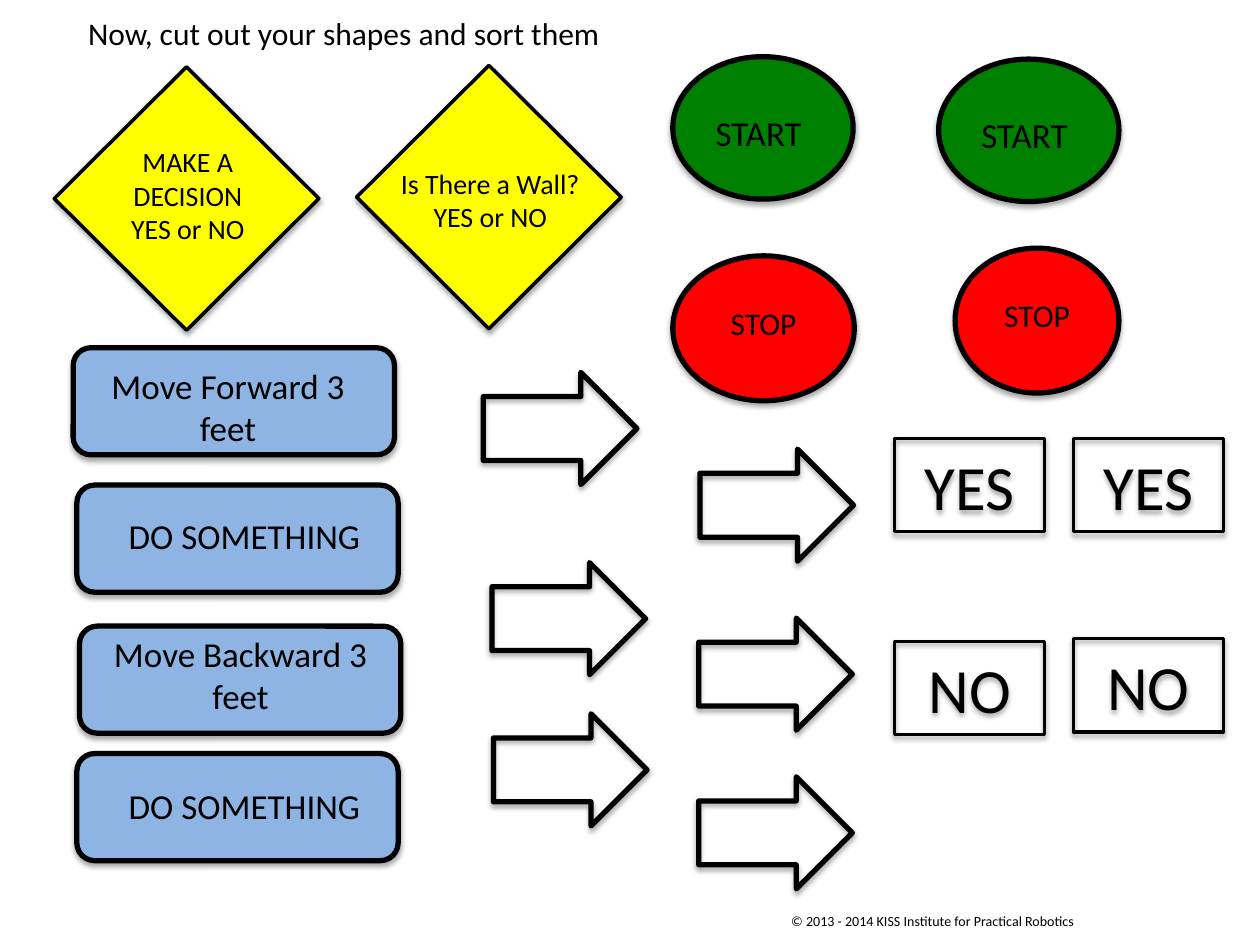
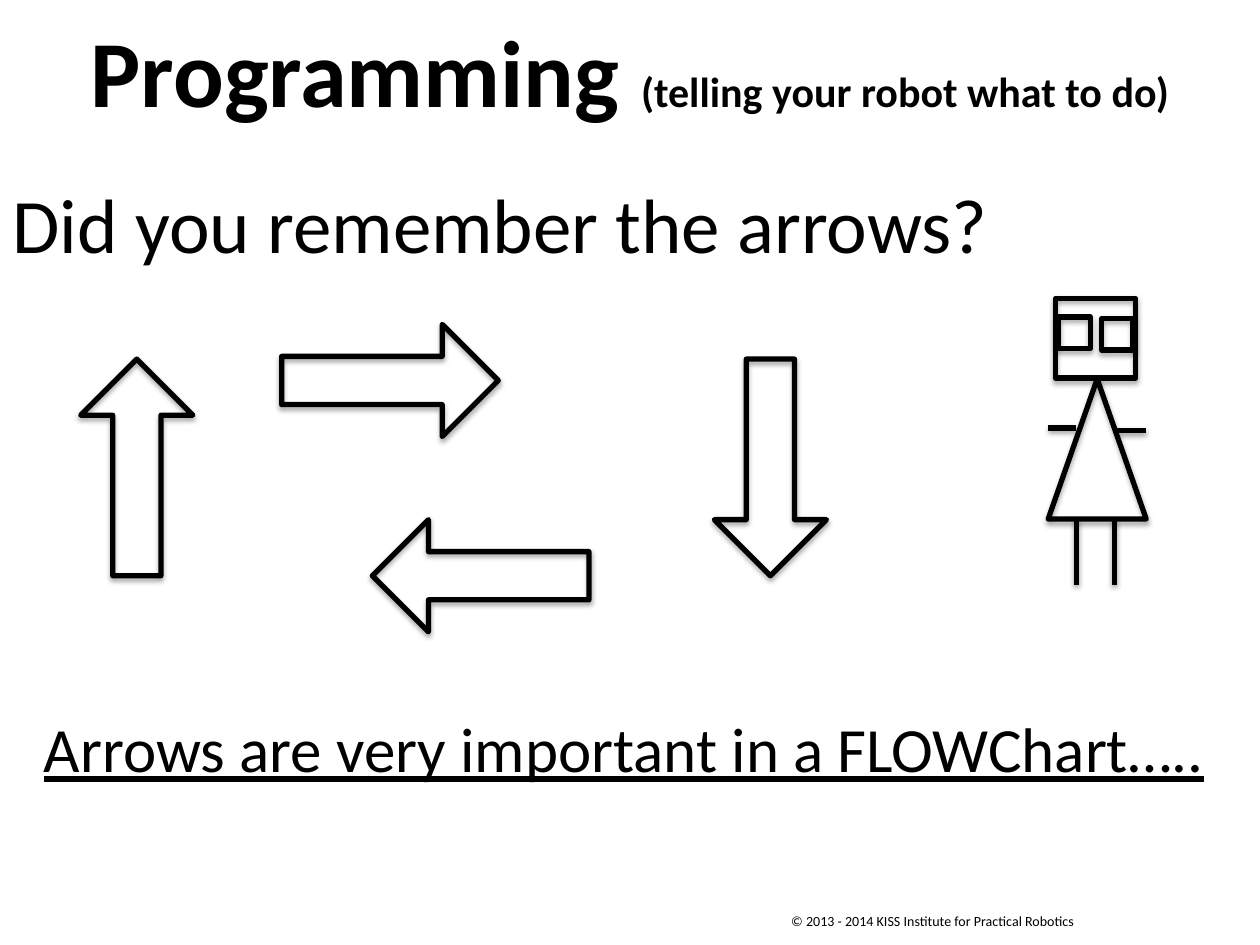
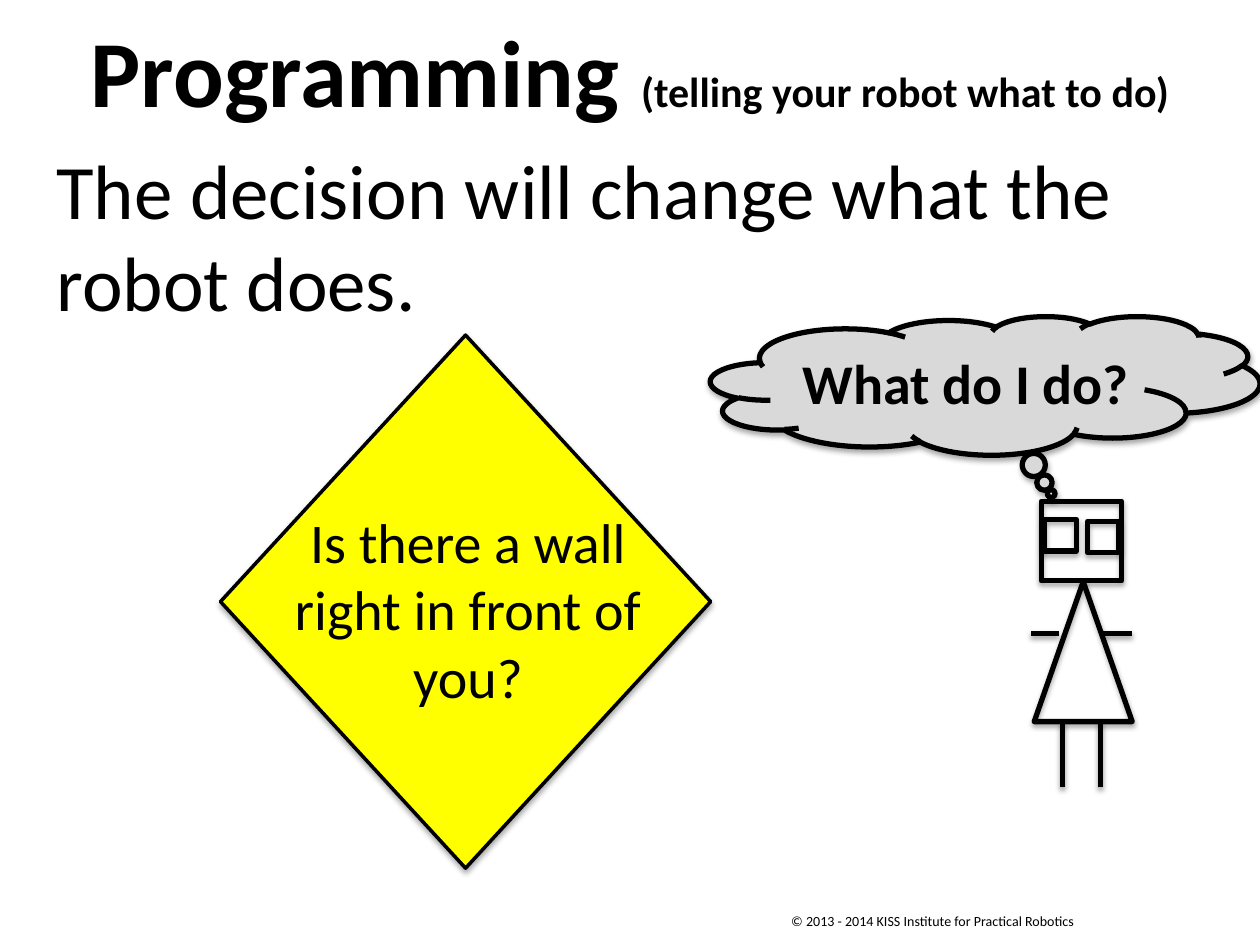
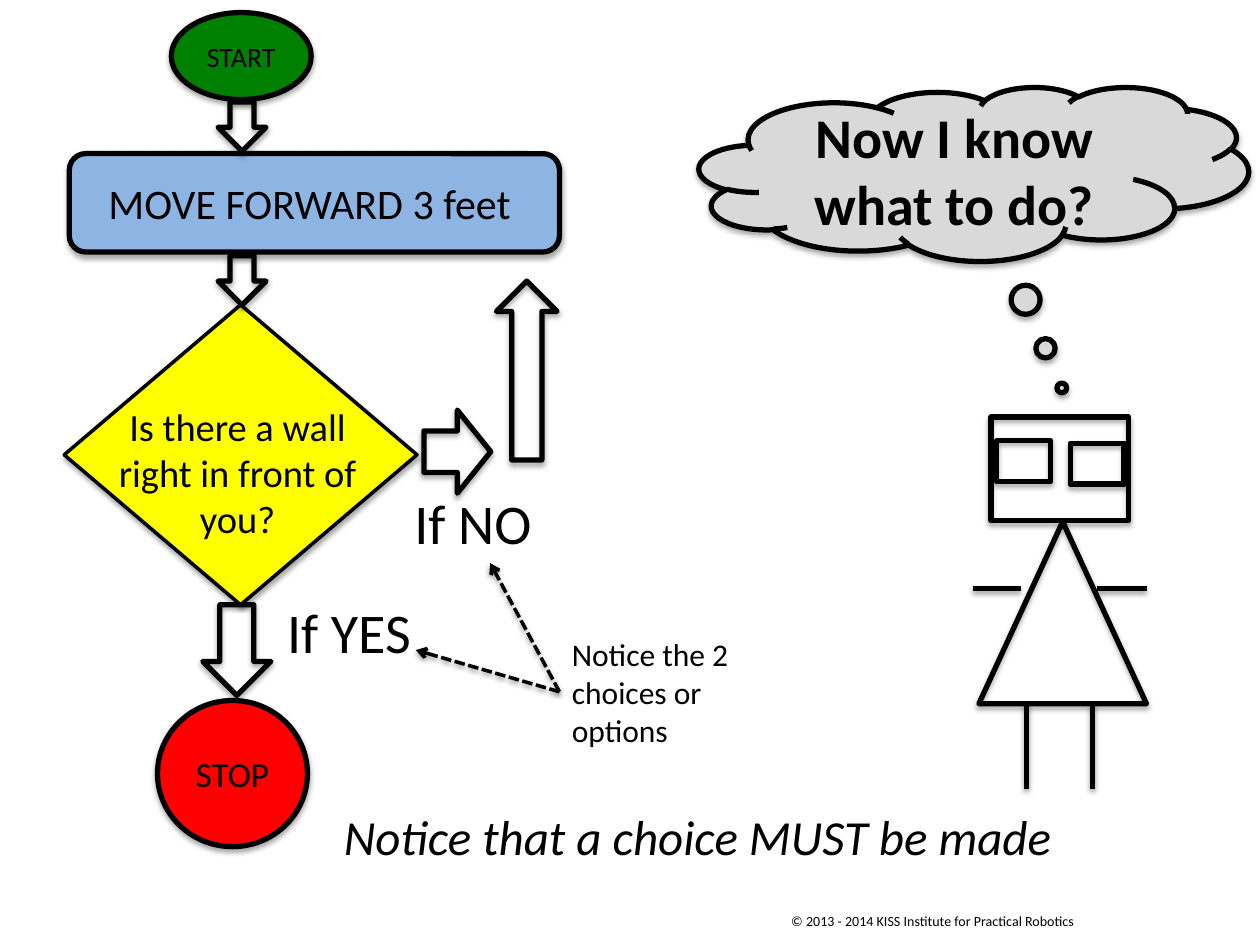
import pptx
import pptx.dml.color
import pptx.enum.dml
import pptx.enum.shapes
import pptx.enum.text
import pptx.oxml
import pptx.util

Pt = pptx.util.Pt
SHAPE = pptx.enum.shapes.MSO_SHAPE
ALIGN = pptx.enum.text.PP_ALIGN
FIT = pptx.enum.text.MSO_AUTO_SIZE
NS = 'xmlns:a="http://schemas.openxmlformats.org/drawingml/2006/main"'
FONT = "Calibri"
COLORS = {
    "black": "000000",
    "start": "008000",
    "stop": "FF0000",
    "decision": "FFFF00",
    "action": "8EB4E3",
    "thought": "D9D9D9",
    "outline": "054697",
}
TITLE_ONLY, BLANK = 5, 6


def rgb(name):
    return pptx.dml.color.RGBColor.from_string(COLORS[name])


def write(p, text, size=18, bold=None, italic=None, underline=None, outline=False):
    r = p.add_run()
    r.text = text
    f = r.font
    f.name, f.size = FONT, Pt(size)
    f.bold, f.italic, f.underline = bold, italic, underline
    f.color.rgb = rgb("black")
    if outline:
        r._r.get_or_add_rPr().insert(0, pptx.oxml.parse_xml(
            f'<a:ln {NS} w="12700"><a:solidFill><a:srgbClr val="{COLORS["outline"]}"/>'
            '</a:solidFill></a:ln>'))


def add_shadow(sp, alpha, distance):
    """Append a soft shadow straight below; the line must be set already."""
    sp.element.spPr.append(pptx.oxml.parse_xml(
        f'<a:effectLst {NS}><a:outerShdw blurRad="{Pt(3.1)}" dist="{Pt(distance)}" '
        f'dir="5400000" rotWithShape="0"><a:srgbClr val="{COLORS["black"]}">'
        f'<a:alpha val="{alpha * 1000}"/></a:srgbClr></a:outerShdw></a:effectLst>'))


class Deck:
    def __init__(self):
        self.prs = pptx.Presentation()
        self.prs.slide_width, self.prs.slide_height = Pt(720), Pt(540)
        self.s = None

    def slide(self, layout=TITLE_ONLY):
        self.s = self.prs.slides.add_slide(self.prs.slide_layouts[layout])

    def title(self, box, runs, align=ALIGN.CENTER):
        """Place the title; runs holds (text, format) pairs."""
        sp = self.s.shapes.title
        sp.left, sp.top, sp.width, sp.height = map(Pt, box)
        tf = sp.text_frame
        tf.word_wrap, tf.auto_size = False, FIT.SHAPE_TO_FIT_TEXT
        tf.vertical_anchor = pptx.enum.text.MSO_ANCHOR.TOP
        p = tf.paragraphs[0]
        p.alignment = align
        for text, fmt in runs:
            write(p, text, **fmt)

    def programming_title(self):
        self.title((39.6, 3.6, 640.8, 72.7), [
            ("Programming ", dict(size=54, bold=True, outline=True)),
            ("(telling your robot what to do)", dict(size=24, bold=True, outline=True))])

    def text(self, box, *lines, align=ALIGN.LEFT, wrap=True, **fmt):
        sp = self.s.shapes.add_textbox(*map(Pt, box))
        tf = sp.text_frame
        tf.word_wrap, tf.auto_size = wrap, FIT.SHAPE_TO_FIT_TEXT
        for i, line in enumerate(lines):
            p = tf.add_paragraph() if i else tf.paragraphs[0]
            p.alignment = align
            write(p, line, **fmt)
        return sp

    def shape(self, kind, box, fill=None, weight=3, text=None, adj=(), rotation=0, **fmt):
        sp = self.s.shapes.add_shape(kind, *map(Pt, box))
        sp.rotation = rotation
        for i, value in enumerate(adj):
            sp.adjustments[i] = value
        if fill:
            sp.fill.solid()
            sp.fill.fore_color.rgb = rgb(fill)
        else:
            sp.fill.background()
        sp.line.color.rgb = rgb("black")
        sp.line.width = Pt(weight)
        add_shadow(sp, 35, 1.8)
        if text:
            p = sp.text_frame.paragraphs[0]
            p.alignment = ALIGN.CENTER
            write(p, text, **fmt)

    def oval(self, box, fill, **kw):
        self.shape(SHAPE.OVAL, box, fill, **kw)

    def action(self, box, **kw):
        self.shape(SHAPE.ROUNDED_RECTANGLE, box, "action", **kw)

    def decision(self, box, text_box, *lines, size):
        self.shape(SHAPE.DIAMOND, box, "decision", weight=2)
        self.text(text_box, *lines, align=ALIGN.CENTER, size=size)

    def arrow(self, box, rotation=0, shaft=0.5):
        self.shape(SHAPE.DOWN_ARROW, box, rotation=rotation, adj=(shaft, 0.5))

    def thought(self, box, text, adj):
        self.shape(SHAPE.CLOUD_CALLOUT, box, "thought", adj=adj, text=text, size=32, bold=True)

    def line(self, x1, y1, x2, y2, weight=3, pointer=False):
        cn = self.s.shapes.add_connector(
            pptx.enum.shapes.MSO_CONNECTOR.STRAIGHT, *map(Pt, (x1, y1, x2, y2)))
        cn.line.color.rgb = rgb("black")
        cn.line.width = Pt(weight)
        if pointer:
            cn.line.dash_style = pptx.enum.dml.MSO_LINE.SQUARE_DOT
            cn.get_or_add_ln().append(pptx.oxml.parse_xml(f'<a:tailEnd {NS} type="arrow"/>'))
        add_shadow(cn, 38, 1.6)

    def robot(self, x, y, sx=1, sy=1, left_arm=(-2, 75.5)):
        """Draw the robot with its skirt's left edge at x and head top at y."""
        self.shape(SHAPE.ISOSCELES_TRIANGLE, (x, y + 46 * sy, 56 * sx, 80 * sy))
        arm_x, arm_y = left_arm
        for x1, y1, x2, y2 in ((arm_x + 16, arm_y, arm_x, arm_y), (56, 75.5, 39.5, 75.5),
                               (38, 163.5, 38, 126), (16, 163.5, 16, 126)):
            self.line(x + x1 * sx, y + y1 * sy, x + x2 * sx, y + y2 * sy)
        head, eyes = (4, 0, 46, 45.5), [(6, 10.5, 18, 18), (30.5, 11.5, 18, 18)]
        for left, top, w, h in [head, *eyes]:
            self.shape(SHAPE.RECTANGLE, (x + left * sx, y + top * sy, w * sx, h * sy))

    def master_footer(self, text):
        """Put the copyright line on the master, so every slide shows it."""
        sp = self.text((445, 517.7, 179.3, 17.3), text, wrap=False, size=8)
        self.prs.slide_master.shapes.element.append(sp.element)


def sorting_slide(d):
    d.slide()
    d.master_footer("© 2013 - 2014 KISS Institute for Practical Robotics")
    d.title((43.2, 4.3, 311.8, 28.8),
            [("Now, cut out your shapes and sort them", dict(size=18))], ALIGN.LEFT)

    for x, y in ((536.4, 33.8), (384.5, 32.4)):
        d.oval((x, y, 103, 81.4), "start")
        d.text((x + 17.3, y + 27.7, 76.3, 17.3), "START", size=20)
    for x, y, w, indent in ((384.5, 146.2, 103.7, 25.9), (545.8, 141.8, 93.6, 20.9)):
        d.oval((x, y, w, 82.8), "stop")
        d.text((x + indent, y + 23.8, 73, 16.6), "STOP", size=18)

    d.decision((31, 38.2, 151.2, 150.5), (45.4, 79.2, 123.8, 85),
               "MAKE A DECISION", "YES or NO", size=16)
    d.decision((203.8, 37.4, 151.2, 150.5), (218.2, 91.4, 123.8, 46),
               "Is There a Wall?", "YES or NO", size=16)

    for x, y, text_x, text_y, text_h, label in (
            (41.8, 198.7, 43.9, 204.5, 55.4, "Move Forward 3 feet"),
            (43.9, 277.2, 53.3, 290.2, 31.7, "DO SOMETHING"),
            (45.4, 357.8, 51.1, 357.8, 55.4, "Move Backward 3 feet"),
            (43.9, 430.6, 53.3, 445, 31.7, "DO SOMETHING")):
        d.action((x, y, 183.6, 61.2))
        d.text((text_x, text_y, 172.8, text_h), label, align=ALIGN.CENTER, size=20)

    for x, y in ((288, 200.9), (293, 309.6), (293.8, 396),
                 (411.1, 341.3), (411.1, 432), (411.8, 244.8)):
        d.arrow((x, y, 64.1, 87.8), rotation=270, shaft=0.57)

    for x, y, label in ((613.4, 250.6, "YES"), (511.2, 250.6, "YES"),
                        (613.4, 365, "NO"), (511.2, 366.5, "NO")):
        d.shape(SHAPE.RECTANGLE, (x, y, 85.7, 53.3), weight=2, text=label, size=36)


def arrows_slide(d):
    d.slide()
    d.programming_title()
    d.text((0, 97.2, 720, 60.5), "Did you remember the arrows?", size=44)
    d.robot(599, 170.6, left_arm=(0, 74))
    for x, y, rotation in ((46.1, 205.2, 180), (190.8, 155.5, 270),
                           (408.2, 205.2, 0), (242.6, 267.1, 90)):
        d.arrow((x, y, 64.1, 123.8), rotation, shaft=0.43)
    d.text((18, 401.8, 764.6, 51.1), "Arrows are very important in a FLOWChart…..",
           size=36, underline=True)


def decision_slide(d):
    d.slide()
    d.programming_title()
    d.decision((126, 191.5, 280.1, 304.6), (152.6, 286.6, 229.7, 236.9),
               "Is there a wall right in front of you?", size=32)
    d.text((25.2, 77.8, 640.8, 113.8), "The decision will change what the robot does.", size=44)
    d.robot(591, 286.4)
    d.thought((406.1, 180.7, 313.9, 79.2), "What do I do?", (0.12, 0.78))


def flowchart_slide(d):
    d.slide(BLANK)
    d.arrow((115.9, 345.6, 38.9, 51.8))
    d.arrow((237.6, 239, 47.5, 38.2), rotation=270)
    d.text((157, 337.7, 101.5, 46), "If YES", size=32)
    d.text((229.7, 275.8, 101.5, 46), "If NO", size=32)
    d.action((39.6, 87.8, 280.1, 56.2), text="MOVE FORWARD 3 feet ", size=24)
    d.oval((90, 400.3, 85.7, 83.5), "stop", text="STOP", size=20)
    d.arrow((283.7, 160.6, 34.6, 102.2), rotation=180)
    d.decision((36.7, 174.2, 201.6, 171.4), (53.3, 226.8, 164.9, 91.4),
               "Is there a wall right in front of you?", size=22)
    for y in (146.2, 58.3):
        d.arrow((124.6, y, 27.4, 28.1))
    d.oval((97.9, 7.2, 79.9, 49.7), "start", text="START", size=16)
    d.text((189.4, 457.2, 550.8, 41), "Notice that a choice MUST be made", size=28, italic=True)
    d.text((319.7, 359.3, 114.5, 72.7), "Notice the 2 choices or options", size=18)
    for x, y in ((280.1, 321.8), (237.6, 371.5)):
        d.line(319.7, 395.3, x, y, weight=2, pointer=True)
    d.robot(559.4, 238.3, sx=1.71, sy=1.3)
    d.thought((399.6, 49.7, 313.9, 99.4), "Now I know what to do?", (0.16, 1.23))


def main():
    d = Deck()
    for build in (sorting_slide, arrows_slide, decision_slide, flowchart_slide):
        build(d)
    d.prs.save("out.pptx")


if __name__ == "__main__":
    main()
